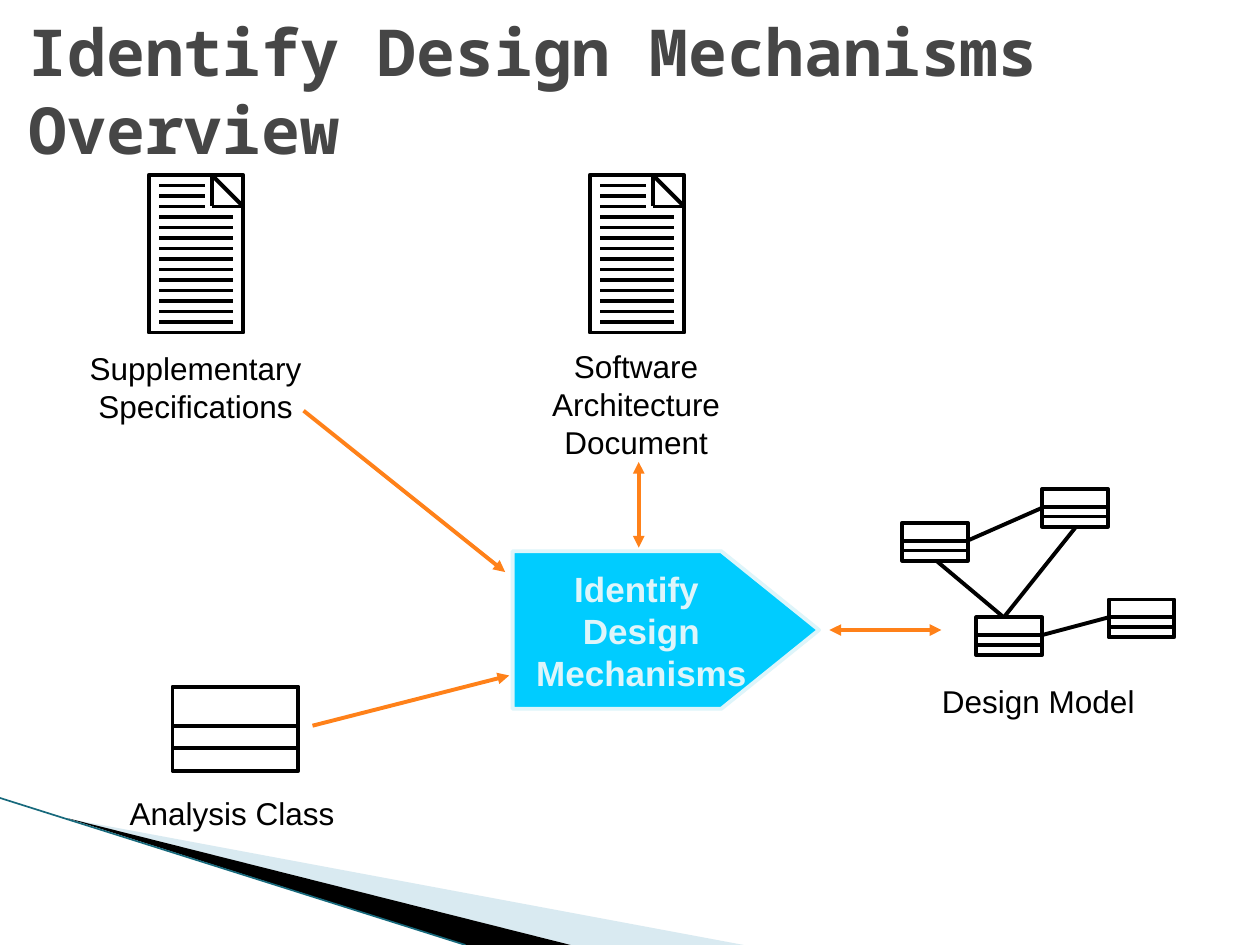
from lxml import etree
from pptx import Presentation
from pptx.dml.color import RGBColor
from pptx.enum.shapes import MSO_CONNECTOR, MSO_SHAPE
from pptx.enum.text import MSO_ANCHOR, MSO_AUTO_SIZE, PP_ALIGN
from pptx.oxml.ns import qn
from pptx.util import Pt

STRAIGHT = MSO_CONNECTOR.STRAIGHT
RECT, PENTAGON = MSO_SHAPE.RECTANGLE, MSO_SHAPE.PENTAGON
LEFT, CENTER = PP_ALIGN.LEFT, PP_ALIGN.CENTER
TOP, MIDDLE = MSO_ANCHOR.TOP, MSO_ANCHOR.MIDDLE
GROW = MSO_AUTO_SIZE.SHAPE_TO_FIT_TEXT

COLORS = {
    "ink": "000000",
    "title": "464646",
    "arrow": "FF8119",
    "activity": "00CCFF",
    "pale": "DEF5FA",
    "swoosh": "A0CBDC",
    "edge": "17697C",
}
LINE_W = 2.25


def rgb(name):
    """Return the named colour."""
    return RGBColor.from_string(COLORS[name])


def write(tf, text, size=18, font="Arial", color="ink", bold=False,
          align=CENTER, anchor=TOP, wrap=False):
    """Fill a text frame with one paragraph per line of text."""
    tf.word_wrap = wrap
    tf.vertical_anchor = anchor
    for i, line_text in enumerate(text.split("\n")):
        p = tf.paragraphs[0] if i == 0 else tf.add_paragraph()
        p.alignment = align
        r = p.add_run()
        r.text = line_text
        r.font.size = Pt(size)
        r.font.name = font
        r.font.bold = bold
        r.font.color.rgb = rgb(color)


def label(shapes, x, y, w, h, text, inset=True):
    """Add a centred caption that grows with its text."""
    tf = shapes.add_textbox(Pt(x), Pt(y), Pt(w), Pt(h)).text_frame
    write(tf, text)
    tf.auto_size = GROW
    if not inset:
        tf.margin_left = tf.margin_right = tf.margin_top = tf.margin_bottom = 0


def line(shapes, x1, y1, x2, y2, color="ink", width=LINE_W, ends=()):
    """Add a straight line with triangles at the given ends."""
    s = shapes.add_connector(STRAIGHT, Pt(x1), Pt(y1), Pt(x2), Pt(y2))
    s.line.color.rgb = rgb(color)
    s.line.width = Pt(width)
    ln = s.line._get_or_add_ln()
    for end in ends:
        etree.SubElement(ln, qn(f"a:{end}")).set("type", "triangle")
    etree.SubElement(s._element.spPr, qn("a:effectLst"))


def box(shapes, kind, x, y, w, h, fill=None, outline="ink"):
    """Add an outlined preset shape, empty unless a fill is named."""
    s = shapes.add_shape(kind, Pt(x), Pt(y), Pt(w), Pt(h))
    s.shadow.inherit = False
    if fill:
        s.fill.solid()
        s.fill.fore_color.rgb = rgb(fill)
    else:
        s.fill.background()
    s.line.color.rgb = rgb(outline)
    s.line.width = Pt(LINE_W)
    return s


def wedge(shapes, points, color, alpha=None):
    """Add a filled polygon without outline."""
    pts = [(Pt(x), Pt(y)) for x, y in points]
    fb = shapes.build_freeform(*pts[0], scale=1.0)
    fb.add_line_segments(pts[1:], close=True)
    s = fb.convert_to_shape()
    s.shadow.inherit = False
    s.fill.solid()
    s.fill.fore_color.rgb = rgb(color)
    s.line.fill.background()
    if alpha:
        clr = s._element.spPr.find(qn("a:solidFill"))[0]
        etree.SubElement(clr, qn("a:alpha")).set("val", str(alpha * 1000))


def swoosh(shapes, y, bottom):
    """Draw the corner decoration between two heights."""
    wedge(shapes, [(39.6, y + 12), (425, bottom), (326, bottom)], "swoosh", 40)
    wedge(shapes, [(38.2, y + 11.5), (326, bottom), (266, bottom)], "ink")
    line(shapes, 0, y, 266, bottom, "edge", 0.95)


def title(shapes, x, y, w, h):
    """Place the slide heading."""
    tf = shapes.add_textbox(Pt(x), Pt(y), Pt(w), Pt(h)).text_frame
    write(tf, "Identify Design Mechanisms Overview", size=37,
          font="Noto Sans Mono", color="title", bold=True, align=LEFT,
          anchor=MIDDLE, wrap=True)


def document(slide, x, y, caption, caption_box):
    """Draw a page with a folded corner, ruled lines and a caption."""
    shapes = slide.shapes.add_group_shape().shapes
    w, h, fold, step = 54, 90, 18, 6
    box(shapes, RECT, x, y, w, h)
    right, inner = x + w, x + w - fold
    line(shapes, inner, y, right, y + fold)
    line(shapes, inner, y, inner, y + fold)
    line(shapes, right, y + fold, inner, y + fold)
    for dy in range(step, h, step):
        end = inner - 4 if dy <= fold else right - step
        line(shapes, x + step, y + dy, end, y + dy)
    label(shapes, *caption_box, caption)


def class_box(shapes, x, y, w, h):
    """Draw a class symbol with three compartments."""
    box(shapes, RECT, x, y, w, h)
    for part in (0.47, 0.73):
        line(shapes, x, y + h * part, x + w, y + h * part)


def design_model(slide, x, y):
    """Draw the linked classes and their caption."""
    shapes = slide.shapes.add_group_shape().shapes
    nodes = [(0, 19.4), (80, 0), (42.4, 73.4), (118, 63.2)]
    links = [(58.1, 73.4, 19.5, 41), (37.5, 29.5, 80, 10.8),
             (80, 83.5, 118, 73.4), (58.1, 73.4, 99.4, 21.6)]
    for dx, dy in nodes:
        class_box(shapes, x + dx, y + dy, 37.6, 21.6)
    for x1, y1, x2, y2 in links:
        line(shapes, x + x1, y + y1, x + x2, y + y2)
    label(shapes, x + 15.5, y + 106.6, 124.6, 28.8, "Design Model")


def analysis_class(slide, x, y):
    """Draw the analysis class and its caption."""
    shapes = slide.shapes.add_group_shape().shapes
    label(shapes, x - 26, y + 61.2, 120, 21.6, "Analysis Class", inset=False)
    class_box(shapes, x, y, 72, 48)


def activity(shapes, x, y, w, h):
    """Draw the central activity."""
    s = box(shapes, PENTAGON, x, y, w, h, "activity", "pale")
    s.adjustments[0] = 0.62
    write(s.text_frame, "Identify \nDesign\nMechanisms", size=20,
          color="pale", bold=True, anchor=MIDDLE)


def flows(shapes):
    """Draw the arrows between the activity and its artifacts."""
    one, both = ("headEnd",), ("headEnd", "tailEnd")
    for ends, *points in [(both, 365, 264, 365, 313),
                          (both, 538, 360, 474, 360),
                          (one, 291, 386, 178.6, 414.7),
                          (one, 288.7, 326.9, 173.5, 234.7)]:
        line(shapes, *points, color="arrow", ends=ends)


def main():
    """Build and save the slide."""
    prs = Presentation()
    prs.slide_width, prs.slide_height = Pt(720), Pt(540)
    slide = prs.slides.add_slide(prs.slide_layouts[6])
    shapes = slide.shapes
    swoosh(shapes, 456, 540)
    title(shapes, 9.4, 30.2, 708.5, 41.8)
    document(slide, 85, 100, "Supplementary\nSpecifications",
             (44, 195.8, 135.4, 50.4))
    activity(shapes, 293, 315, 175, 90)
    document(slide, 337, 100, "Software\nArchitecture\nDocument",
             (308.4, 195, 110.2, 72))
    design_model(slide, 515.5, 279.4)
    flows(shapes)
    analysis_class(slide, 98.6, 392.4)
    prs.save("out.pptx")


if __name__ == "__main__":
    main()
